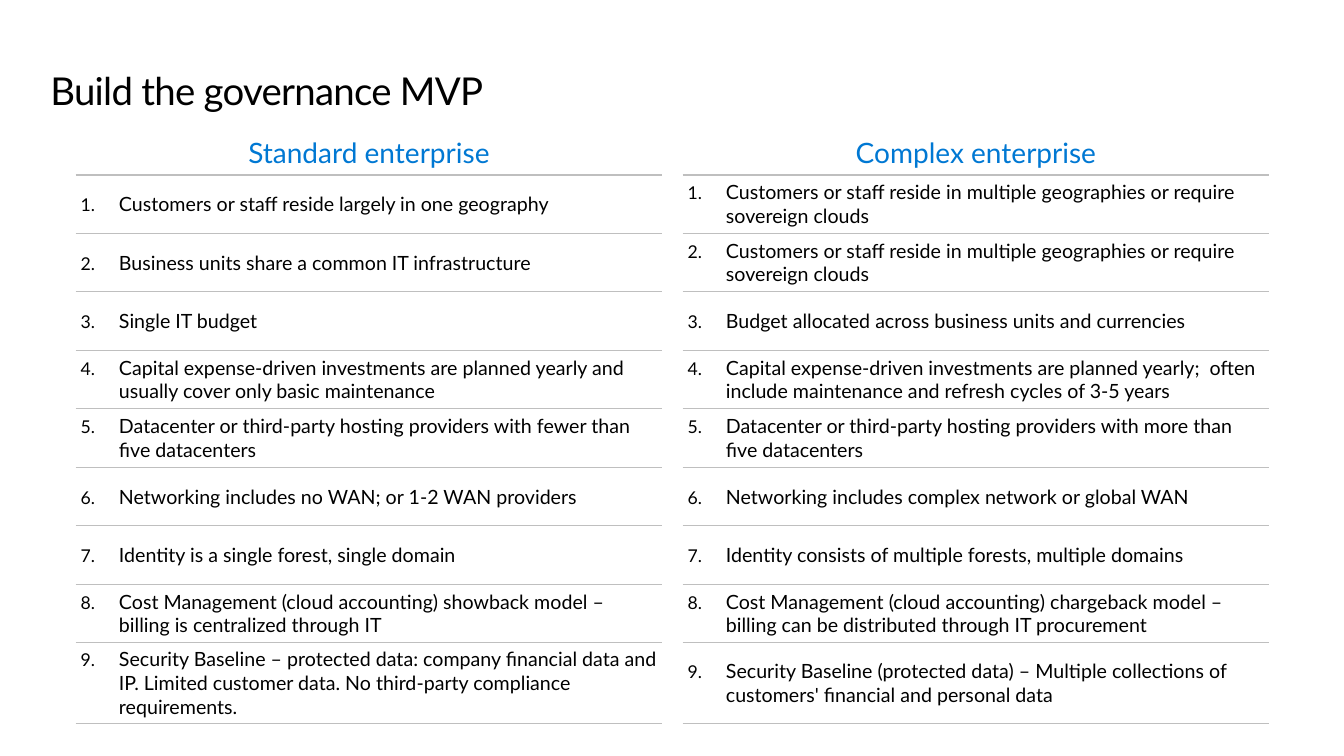
from lxml import etree
from pptx import Presentation
from pptx.dml.color import RGBColor
from pptx.enum import text
from pptx.oxml import ns
from pptx.util import Inches, Pt

BLACK = RGBColor(0x00, 0x00, 0x00)
BLUE = RGBColor(0x00, 0x78, 0xD3)
GRAY = RGBColor(0xBF, 0xBF, 0xBF)
FONT = "Lato"

TITLE = "Build the governance MVP"
HEADINGS = ("Standard enterprise", "Complex enterprise")
TRAITS = [
    ("Customers or staff reside largely in one geography",
     "Customers or staff reside in multiple geographies or require sovereign clouds"),
    ("Business units share a common IT infrastructure",
     "Customers or staff reside in multiple geographies or require sovereign clouds"),
    ("Single IT budget",
     "Budget allocated across business units and currencies"),
    ("Capital expense-driven investments are planned yearly and usually cover only basic maintenance",
     "Capital expense-driven investments are planned yearly;  often include maintenance "
     "and refresh cycles of 3-5 years"),
    ("Datacenter or third-party hosting providers with fewer than five datacenters",
     "Datacenter or third-party hosting providers with more than five datacenters"),
    ("Networking includes no WAN; or 1-2 WAN providers",
     "Networking includes complex network or global WAN"),
    ("Identity is a single forest, single domain",
     "Identity consists of multiple forests, multiple domains"),
    ("Cost Management (cloud accounting) showback model – billing is centralized through IT",
     "Cost Management (cloud accounting) chargeback model – billing can be distributed "
     "through IT procurement"),
    ("Security Baseline – protected data: company financial data and IP. Limited customer data. "
     "No third-party compliance requirements.",
     "Security Baseline (protected data) – Multiple collections of customers' financial "
     "and personal data"),
]
COLUMN_WIDTHS = (5.82, 0.2, 5.82)
TEXT_COLUMNS = (0, 2)
ROW_HEIGHTS = [0.43] + [0.58] * (len(TRAITS) - 1) + [0.8]


def add_run(paragraph, words, size, color):
    run = paragraph.add_run()
    run.text = words
    run.font.name = FONT
    run.font.size = Pt(size)
    run.font.color.rgb = color
    return run


def set_title(slide):
    title = slide.shapes.title
    title.left, title.top = Inches(0.5), Inches(0.68)
    title.width, title.height = Inches(12.36), Inches(0.44)
    frame = title.text_frame
    frame.margin_left = frame.margin_right = frame.margin_top = frame.margin_bottom = 0
    frame.vertical_anchor = text.MSO_ANCHOR.MIDDLE
    frame.auto_size = text.MSO_AUTO_SIZE.NONE
    paragraph = frame.paragraphs[0]
    paragraph.alignment = text.PP_ALIGN.LEFT
    paragraph.line_spacing = Pt(31.4)
    run = add_run(paragraph, TITLE, 27.4, BLACK)
    run.font._element.set("spc", "-50")


def set_borders(cell, ruled_sides):
    """Rule the given sides in gray and clear the others."""
    properties = cell._tc.get_or_add_tcPr()
    for side in "LRTB":
        line = etree.SubElement(properties, ns.qn(f"a:ln{side}"), w=str(Pt(1)))
        if side in ruled_sides:
            fill = etree.SubElement(line, ns.qn("a:solidFill"))
            etree.SubElement(fill, ns.qn("a:srgbClr"), val=str(GRAY))
        else:
            etree.SubElement(line, ns.qn("a:noFill"))


def number_paragraph(paragraph, number):
    properties = paragraph._p.get_or_add_pPr()
    indent = Inches(0.38)
    properties.set("marL", str(indent))
    properties.set("indent", str(-indent))
    etree.SubElement(properties, ns.qn("a:buSzPct"), val="90000")
    etree.SubElement(properties, ns.qn("a:buFont"), typeface=FONT)
    etree.SubElement(properties, ns.qn("a:buAutoNum"), type="arabicPeriod", startAt=str(number))


def format_cell(cell, ruled_sides):
    set_borders(cell, ruled_sides)
    cell.fill.background()
    cell.vertical_anchor = text.MSO_ANCHOR.MIDDLE
    cell.margin_left = cell.margin_right = cell.margin_top = cell.margin_bottom = Inches(0.05)


def add_comparison_table(slide):
    frame = slide.shapes.add_table(
        len(ROW_HEIGHTS), len(COLUMN_WIDTHS), Inches(0.75), Inches(1.3),
        Inches(sum(COLUMN_WIDTHS)), Inches(sum(ROW_HEIGHTS)))
    table = frame.table
    table.first_row = table.horz_banding = False
    for column, width in zip(table.columns, COLUMN_WIDTHS):
        column.width = Inches(width)
    for row, height in zip(table.rows, ROW_HEIGHTS):
        row.height = Inches(height)

    for number, texts in enumerate([HEADINGS] + TRAITS):
        format_cell(table.cell(number, 1), "")
        for column, words in zip(TEXT_COLUMNS, texts):
            cell = table.cell(number, column)
            format_cell(cell, "TB" if number else "B")
            paragraph = cell.text_frame.paragraphs[0]
            if number:
                number_paragraph(paragraph, number)
                add_run(paragraph, words, 14, BLACK)
            else:
                paragraph.alignment = text.PP_ALIGN.CENTER
                add_run(paragraph, words, 20, BLUE)


def main():
    presentation = Presentation()
    presentation.slide_width = Inches(13.33)
    presentation.slide_height = Inches(7.5)
    slide = presentation.slides.add_slide(presentation.slide_layouts.get_by_name("Title Only"))
    set_title(slide)
    add_comparison_table(slide)
    presentation.save("out.pptx")


if __name__ == "__main__":
    main()
